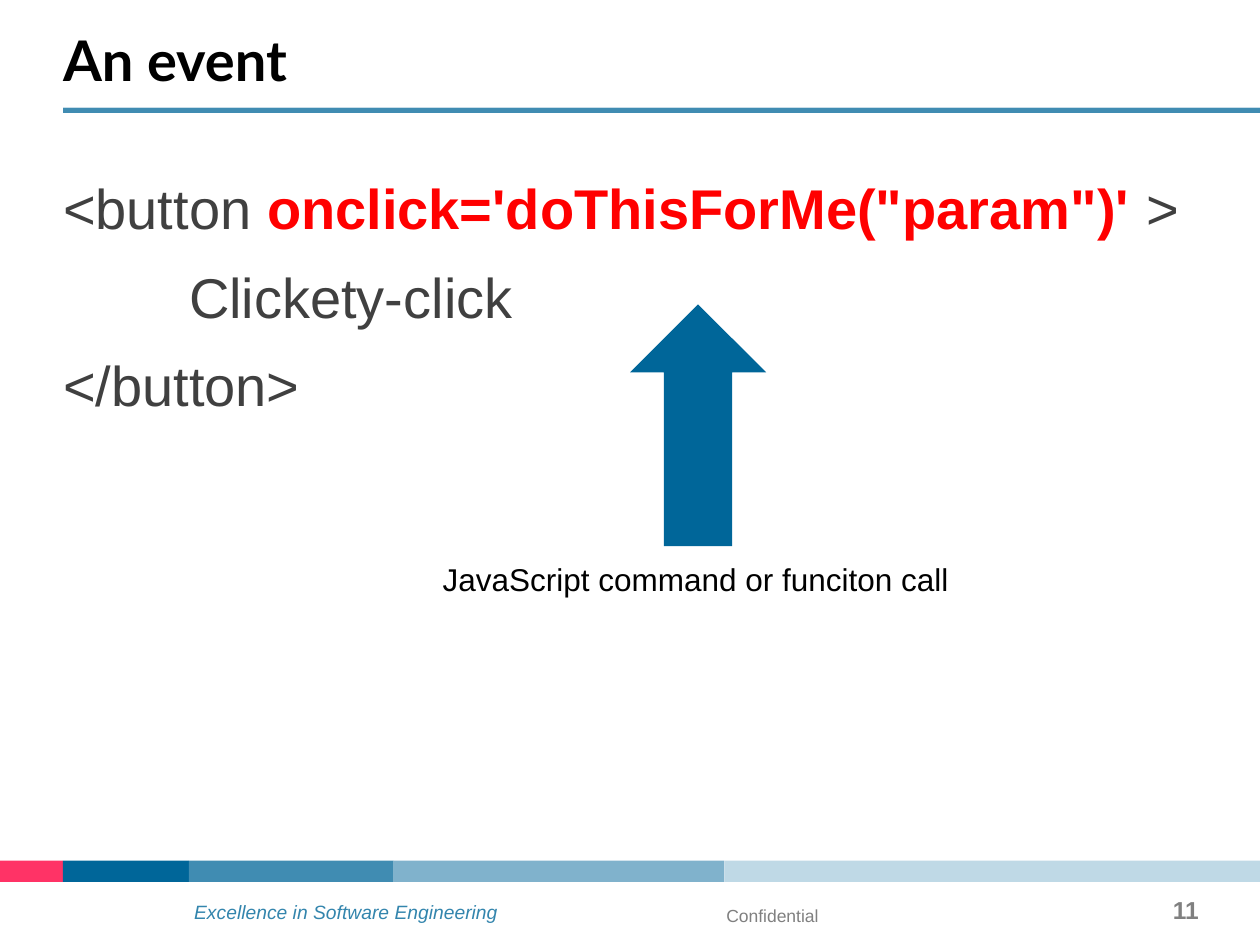
from dataclasses import dataclass
from itertools import pairwise

from lxml import etree
from pptx import Presentation
from pptx import util as u
from pptx.dml.color import RGBColor
from pptx.enum import shapes, text
from pptx.oxml.ns import qn

WIDTH, HEIGHT = u.Inches(10), u.Inches(7.5)
BLUE = RGBColor(0x00, 0x66, 0x99)
PINK = RGBColor(0xFF, 0x33, 0x66)
RED = RGBColor(0xFF, 0x00, 0x00)
BLACK = RGBColor(0x00, 0x00, 0x00)
WHITE = RGBColor(0xFF, 0xFF, 0xFF)
CODE_GRAY = RGBColor(0x40, 0x40, 0x40)
FOOTER_GRAY = RGBColor(0x80, 0x80, 0x80)
TAB_SIZE = u.Inches(1)


@dataclass(frozen=True)
class Box:
    """A place on the slide, in percent of its width and height."""
    left: float
    top: float
    width: float
    height: float

    def lengths(self) -> tuple[int, int, int, int]:
        return (int(WIDTH * self.left / 100), int(HEIGHT * self.top / 100),
                int(WIDTH * self.width / 100), int(HEIGHT * self.height / 100))


@dataclass(frozen=True)
class FooterText:
    words: str
    box: Box
    insets: tuple[float, float, float, float]
    style: dict
    align: text.PP_ALIGN = text.PP_ALIGN.LEFT
    line_spacing: float = 1.0


def tint(color: RGBColor, share: float) -> RGBColor:
    """Blend the colour with white, keeping the given share of it."""
    return RGBColor(*(round(255 - (255 - part) * share) for part in color))


def write(paragraph, words: str, *, size: float, color: RGBColor, font: str = "Arial",
          bold: bool = False, italic: bool = False) -> None:
    run = paragraph.add_run()
    run.text = words
    run.font.name, run.font.size = font, u.Pt(size)
    run.font.bold, run.font.italic = bold, italic
    run.font.color.rgb = color


def place(shape, box: Box) -> None:
    shape.left, shape.top, shape.width, shape.height = box.lengths()


def set_frame(frame, insets=(0.1, 0.05, 0.1, 0.05), wrap: bool = True) -> None:
    """Fix the frame's size and set its left, top, right and bottom insets."""
    frame.word_wrap = wrap
    frame.auto_size = text.MSO_AUTO_SIZE.NONE
    frame.vertical_anchor = text.MSO_ANCHOR.TOP
    (frame.margin_left, frame.margin_top,
     frame.margin_right, frame.margin_bottom) = map(u.Inches, insets)


def add_solid(slide, kind: shapes.MSO_SHAPE, box: Box, color: RGBColor) -> None:
    solid = slide.shapes.add_shape(kind, *box.lengths())
    solid.shadow.inherit = False
    solid.fill.solid()
    solid.fill.fore_color.rgb = color
    solid.line.fill.background()


def underline(shape, color: RGBColor) -> None:
    """Fill the shape white, with a sharp band of the colour along its bottom."""
    shape.fill.gradient()
    shape.fill.gradient_angle = 90
    stops = zip(shape.fill.gradient_stops, (color, WHITE), (0.07, 0.08))
    for stop, stop_color, position in stops:
        stop.color.rgb = stop_color
        stop.position = position


def add_footer_text(slide, item: FooterText) -> None:
    frame = slide.shapes.add_textbox(*item.box.lengths()).text_frame
    set_frame(frame, item.insets)
    paragraph = frame.paragraphs[0]
    paragraph.alignment = item.align
    paragraph.line_spacing = item.line_spacing
    write(paragraph, item.words, **item.style)


def format_code_line(paragraph) -> None:
    """Set the spacing and tab size, and remove the bullet and its indent."""
    paragraph.space_before = paragraph.space_after = u.Pt(6)
    paragraph.line_spacing = 1.0
    properties = paragraph._p.get_or_add_pPr()
    for name, value in (("marL", 0), ("indent", 0), ("defTabSz", TAB_SIZE)):
        properties.set(name, str(int(value)))
    etree.SubElement(properties, qn("a:buNone"))


PLAIN = dict(size=32, color=CODE_GRAY)
STRONG = dict(size=32, color=RED, bold=True)
CODE_LINES = [
    [("<button ", PLAIN), ("onclick='doThisForMe(\"param\")' ", STRONG), (">", PLAIN)],
    [("\tClickety-click", PLAIN)],
    [("</button>", PLAIN)],
]

BAND_EDGES = [0, 5, 15, 31.25, 57.5, 100]
BAND_COLORS = [PINK, BLUE, tint(BLUE, 0.75), tint(BLUE, 0.5), tint(BLUE, 0.25)]

FOOTER = [
    FooterText("Excellence in Software Engineering", Box(14.43, 95.73, 28.6, 2),
               (0.1, 0, 0.1, 0), dict(size=11, color=tint(BLUE, 0.8), italic=True),
               line_spacing=0.8),
    FooterText("Confidential", Box(56.67, 95.07, 33.3, 4.93),
               (0.1, 0.05, 0.1, 0), dict(size=10, color=FOOTER_GRAY)),
    FooterText("11", Box(89.9, 94.67, 5.25, 5.33), (0, 0, 0, 0),
               dict(size=14, color=FOOTER_GRAY, bold=True), text.PP_ALIGN.RIGHT),
]


def main() -> None:
    deck = Presentation()
    deck.slide_width, deck.slide_height = WIDTH, HEIGHT
    slide = deck.slides.add_slide(deck.slide_layouts[1])

    for (left, right), color in zip(pairwise(BAND_EDGES), BAND_COLORS):
        add_solid(slide, shapes.MSO_SHAPE.RECTANGLE,
                  Box(left, 91.07, right - left, 2.27), color)

    title = slide.shapes.title
    place(title, Box(5, 4, 95, 8))
    underline(title, tint(BLUE, 0.75))
    set_frame(title.text_frame, (0, 0.05, 0.1, 0.15))
    heading = title.text_frame.paragraphs[0]
    heading.alignment = text.PP_ALIGN.LEFT
    heading.line_spacing = u.Pt(28)
    write(heading, "An event", size=32, color=BLACK, font="Lato", bold=True)

    body = slide.placeholders[1]
    place(body, Box(4, 17.73, 92, 71.07))
    set_frame(body.text_frame)
    for number, pieces in enumerate(CODE_LINES):
        frame = body.text_frame
        line = frame.add_paragraph() if number else frame.paragraphs[0]
        format_code_line(line)
        for words, style in pieces:
            write(line, words, **style)

    add_solid(slide, shapes.MSO_SHAPE.UP_ARROW, Box(50, 32.2, 10.8, 25.6), BLUE)
    caption = slide.shapes.add_textbox(*Box(34.15, 58.6, 42.6, 5.33).lengths()).text_frame
    set_frame(caption, wrap=False)
    write(caption.paragraphs[0], "JavaScript command or funciton call", size=18, color=BLACK)

    for item in FOOTER:
        add_footer_text(slide, item)

    deck.save("out.pptx")


if __name__ == "__main__":
    main()
